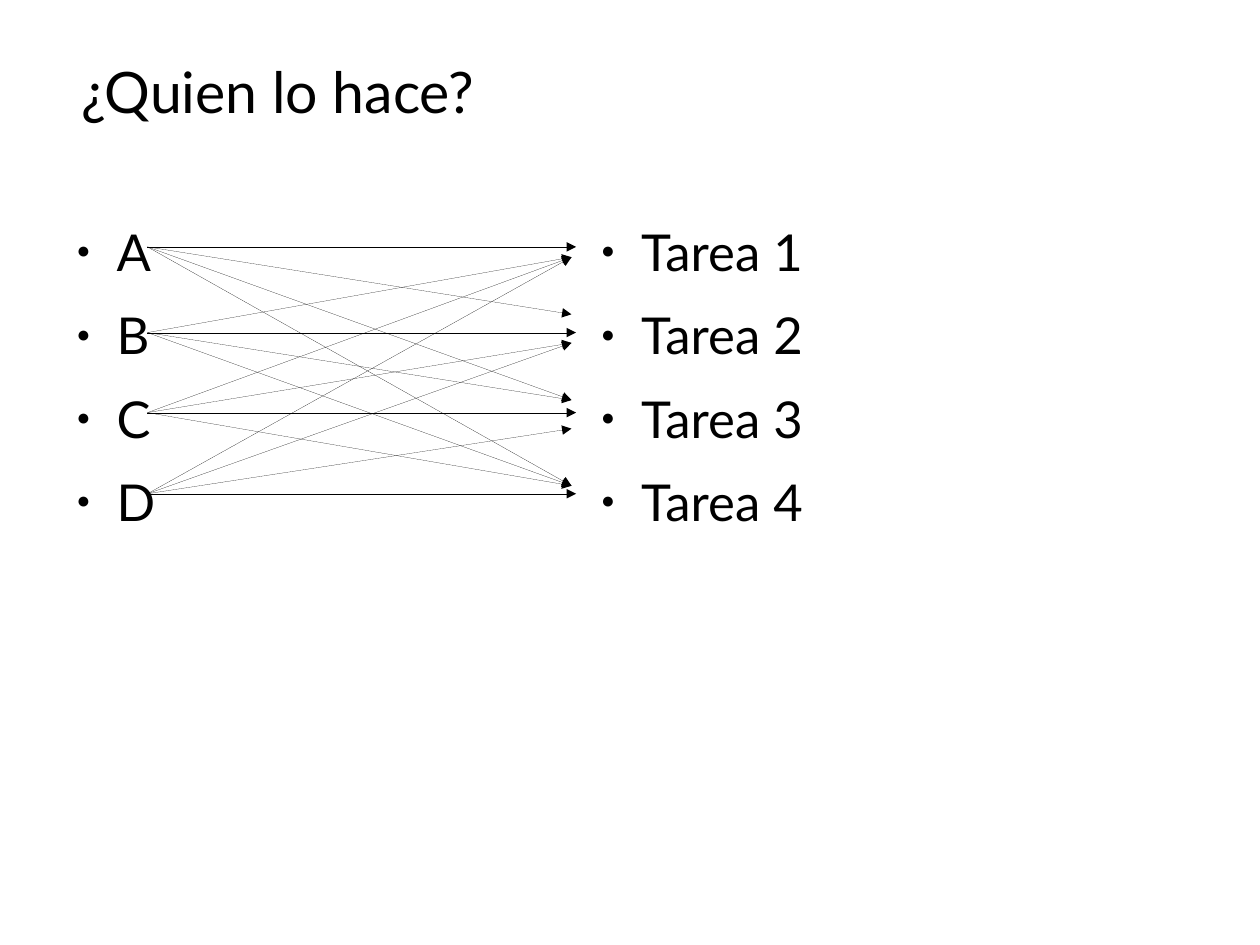
from lxml.etree import SubElement
from pptx import Presentation
from pptx.dml.color import RGBColor
from pptx.enum.shapes import MSO_CONNECTOR
from pptx.enum.text import MSO_ANCHOR, MSO_AUTO_SIZE, PP_ALIGN
from pptx.oxml.ns import qn
from pptx.util import Cm, Inches, Pt

BLACK = RGBColor(0x00, 0x00, 0x00)
WHITE = RGBColor(0xFF, 0xFF, 0xFF)
TWO_CONTENT_LAYOUT = 3

PEOPLE = ["A", "B", "C", "D"]
TASKS = [f"Tarea {number}" for number in range(1, 5)]
ROW_HEIGHTS = [2.16, 2.91, 3.61, 4.32]
ARROW_START = 1.29
STRAIGHT_END, SLANTED_END = 5.04, 5.0
FIRST_FROM_ABOVE, FIRST_FROM_BELOW, TASK_STEP = 2.0, 2.25, 0.75


class SlideBuilder:
    font_name = "Lato"
    title_size = Pt(36)
    list_size = Pt(32)

    def __init__(self, presentation):
        layout = presentation.slide_layouts[TWO_CONTENT_LAYOUT]
        self.slide = presentation.slides.add_slide(layout)
        self.slide.background.fill.solid()
        self.slide.background.fill.fore_color.rgb = WHITE

    def place(self, shape, left, top, width, height, anchor):
        shape.left, shape.top = Inches(left), Inches(top)
        shape.width, shape.height = Inches(width), Inches(height)
        frame = shape.text_frame
        frame.margin_left = frame.margin_right = 0
        frame.margin_top = frame.margin_bottom = 0
        frame.word_wrap = True
        frame.auto_size = MSO_AUTO_SIZE.NONE
        frame.vertical_anchor = anchor
        return frame

    def style(self, paragraph, size):
        paragraph.alignment = PP_ALIGN.LEFT
        paragraph.space_before = Pt(0)
        paragraph.font.name = self.font_name
        paragraph.font.size = size
        paragraph.font.color.rgb = BLACK

    def title(self, text, left, top, width, height):
        frame = self.place(self.slide.shapes.title, left, top, width, height,
                           MSO_ANCHOR.MIDDLE)
        frame.text = text
        self.style(frame.paragraphs[0], self.title_size)

    def bullet(self, paragraph):
        properties = paragraph._p.get_or_add_pPr()
        properties.set("marL", str(Inches(0.47)))
        properties.set("indent", str(Inches(-0.35)))
        color = SubElement(properties, qn("a:buClr"))
        SubElement(color, qn("a:srgbClr"), val=str(BLACK))
        SubElement(properties, qn("a:buSzPct"), val="45000")
        SubElement(properties, qn("a:buChar"), char="●")

    def bullet_list(self, placeholder_index, items, left, top, width, height):
        shape = self.slide.placeholders[placeholder_index]
        frame = self.place(shape, left, top, width, height, MSO_ANCHOR.TOP)
        frame.text = "\n".join(items)
        for paragraph in frame.paragraphs:
            self.bullet(paragraph)
            self.style(paragraph, self.list_size)
            paragraph.space_after = Pt(14.1)

    def arrow(self, start_x, start_y, end_x, end_y):
        connector = self.slide.shapes.add_connector(
            MSO_CONNECTOR.STRAIGHT, Inches(start_x), Inches(start_y),
            Inches(end_x), Inches(end_y))
        connector.line.color.rgb = BLACK
        properties = connector.element.spPr
        # Hairline with a triangle at its end, without a shadow
        line = properties.find(qn("a:ln"))
        line.set("w", "0")
        SubElement(line, qn("a:tailEnd"), type="triangle")
        SubElement(properties, qn("a:effectLst"))


def main():
    presentation = Presentation()
    presentation.slide_width = Cm(28)
    presentation.slide_height = Cm(21)
    builder = SlideBuilder(presentation)

    # Title and the two lists
    builder.title("¿Quien lo hace?", 0.71, 0.33, 9.25, 0.92)
    builder.bullet_list(1, PEOPLE, 0.55, 1.93, 4.37, 5.32)
    builder.bullet_list(2, TASKS, 5.14, 1.93, 4.37, 5.32)

    # An arrow from every person to every task
    for person, start_y in enumerate(ROW_HEIGHTS):
        for task in range(len(TASKS)):
            if task == person:
                builder.arrow(ARROW_START, start_y, STRAIGHT_END, start_y)
            else:
                first = FIRST_FROM_ABOVE if task > person else FIRST_FROM_BELOW
                builder.arrow(ARROW_START, start_y,
                              SLANTED_END, first + task * TASK_STEP)

    presentation.save("out.pptx")


if __name__ == "__main__":
    main()
